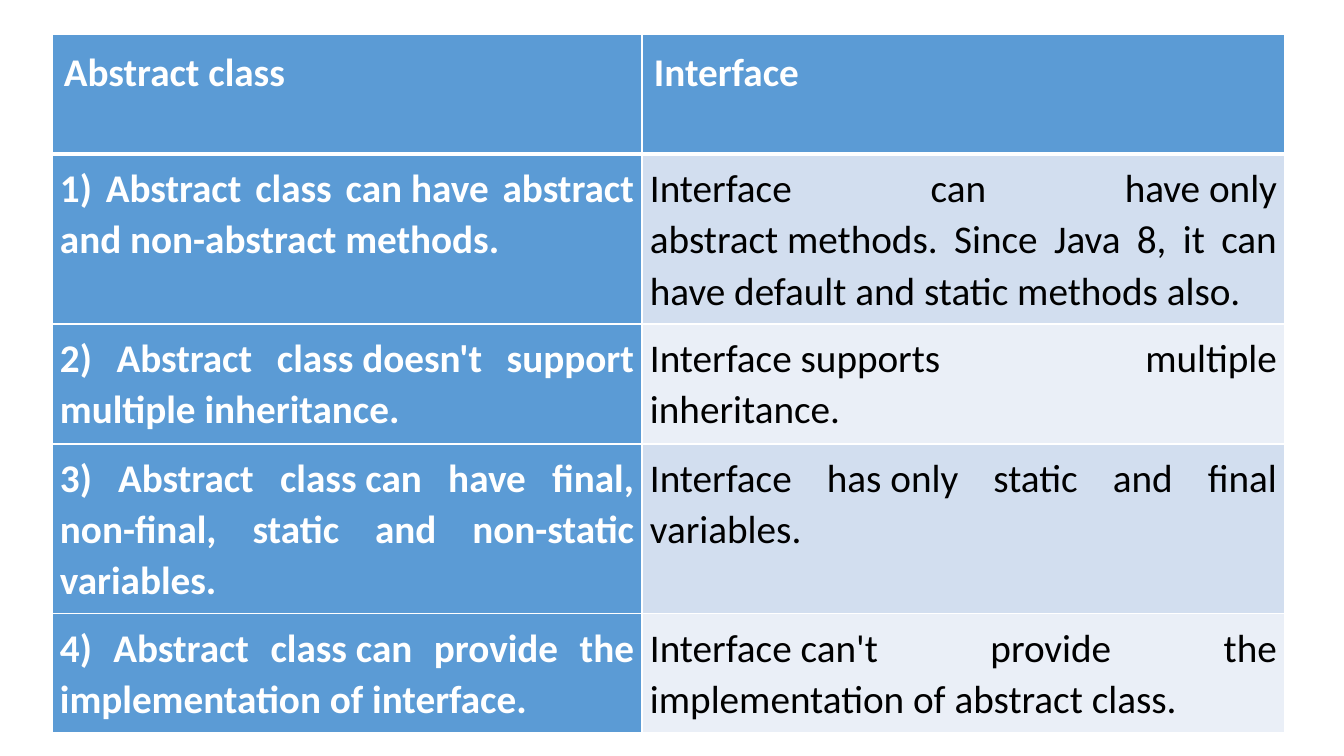
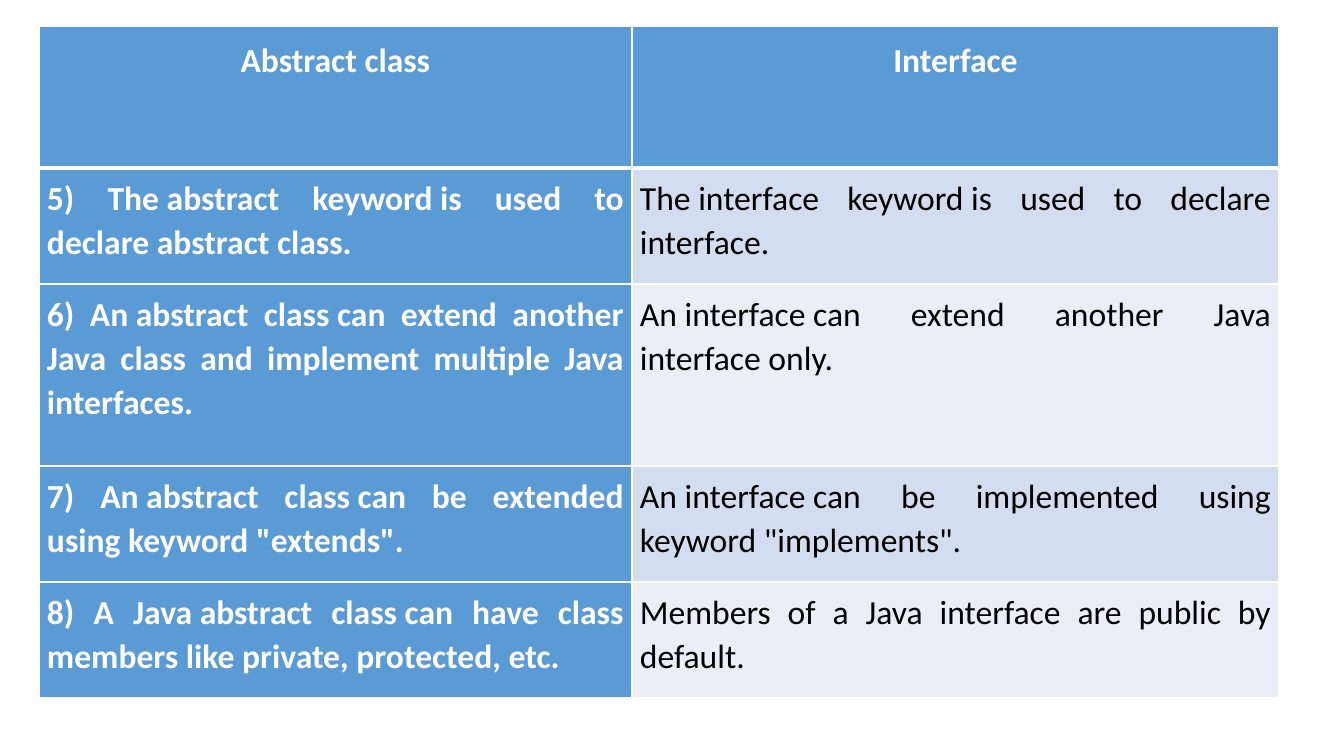
from pptx import Presentation
from pptx.dml.color import RGBColor
from pptx.enum.text import MSO_ANCHOR as Anchor, PP_ALIGN as Align
from pptx.oxml.ns import qn
from pptx.util import Pt
from lxml.etree import SubElement as Sub

# Content: "~" stands for a no-break space
HEAD = ("Abstract class", "Interface")
TABLES = [
    {
        "at": (52, 34), "cols": (590, 643), "rows": (120, 170, 120, 170, 119),
        "size": 28, "head": Align.LEFT,
        "body": [
            ("1) Abstract class can~have abstract and non-abstract~methods.",
             "Interface can have~only abstract~methods. Since Java 8, "
             "it can have~default and static methods~also."),
            ("2) Abstract class~doesn't support multiple inheritance.",
             "Interface~supports multiple inheritance."),
            ("3) Abstract class~can have final, non-final, static and "
             "non-static variables.",
             "Interface has~only static and final variables."),
            ("4) Abstract class~can provide the implementation of interface.",
             "Interface~can't provide the implementation of abstract class."),
        ],
    },
    {
        "at": (39, 26), "cols": (593, 647), "rows": (142, 116, 182, 116, 116),
        "size": 24, "head": Align.CENTER,
        "body": [
            ("5) The~abstract keyword~is used to declare abstract class.",
             "The~interface keyword~is used to declare interface."),
            ("6) An~abstract class~can extend another Java class and "
             "implement multiple Java interfaces.",
             "An~interface~can extend another Java interface only."),
            ('7) An~abstract class~can be extended using keyword "extends".',
             'An~interface~can be implemented using keyword "implements".'),
            ("8) A Java~abstract class~can have class members like private, "
             "protected, etc.",
             "Members of a Java interface are public by default."),
        ],
    },
]

# Shared look
COLORS = {"blue": "5B9BD5", "odd": "D2DEEF", "even": "EAEFF7",
          "white": "FFFFFF", "black": "000000"}
FONT = "Calibri"
SPACING = 1.07
PAD = {"head": 12, "body": 8}
RULE = {"thin": 1, "thick": 3}
SCALE = 914400 / 100.8


def px(n):
    return round(n * SCALE)


def rgb(name):
    return RGBColor.from_string(COLORS[name])


def put(item, values):
    for key, value in values.items():
        setattr(item, key, value)


def edge(cell, row):
    """Draw white rules, heavy where the header meets the body."""
    heavy = {0: "lnB", 1: "lnT"}.get(row)
    props = cell._tc.get_or_add_tcPr()
    for side in ("lnL", "lnR", "lnT", "lnB"):
        width = RULE["thick" if side == heavy else "thin"]
        line = Sub(props, qn(f"a:{side}"), w=str(Pt(width)))
        Sub(Sub(line, qn("a:solidFill")), qn("a:srgbClr"), val=COLORS["white"])


def style(cell, text, row, col, table):
    top = row == 0
    dark = top or col == 0
    pad = px(PAD["head" if top else "body"])
    put(cell, {"margin_left": pad, "margin_right": pad, "margin_top": pad,
               "margin_bottom": pad, "vertical_anchor": Anchor.TOP})
    edge(cell, row)
    cell.fill.solid()
    cell.fill.fore_color.rgb = rgb("blue" if dark else "odd" if row % 2 else "even")

    para = cell.text_frame.paragraphs[0]
    put(para, {"alignment": table["head"] if top else Align.JUSTIFY,
               "line_spacing": SPACING})
    run = para.add_run()
    run.text = text.replace("~", chr(160))
    put(run.font, {"name": FONT, "size": Pt(table["size"]), "bold": dark})
    run.font.color.rgb = rgb("white" if dark else "black")


def draw(slide, table):
    cols, rows = table["cols"], table["rows"]
    box = (*table["at"], sum(cols), sum(rows))
    grid = slide.shapes.add_table(len(rows), len(cols), *map(px, box)).table
    put(grid, {"first_col": True})
    for col, width in zip(grid.columns, cols):
        col.width = px(width)
    for row, height in zip(grid.rows, rows):
        row.height = px(height)
    for r, texts in enumerate([HEAD, *table["body"]]):
        for c, text in enumerate(texts):
            style(grid.cell(r, c), text, r, c, table)


def main():
    deck = Presentation()
    put(deck, {"slide_width": px(1344), "slide_height": px(756)})
    blank = deck.slide_layouts[6]
    for table in TABLES:
        draw(deck.slides.add_slide(blank), table)
    deck.save("out.pptx")


if __name__ == "__main__":
    main()
